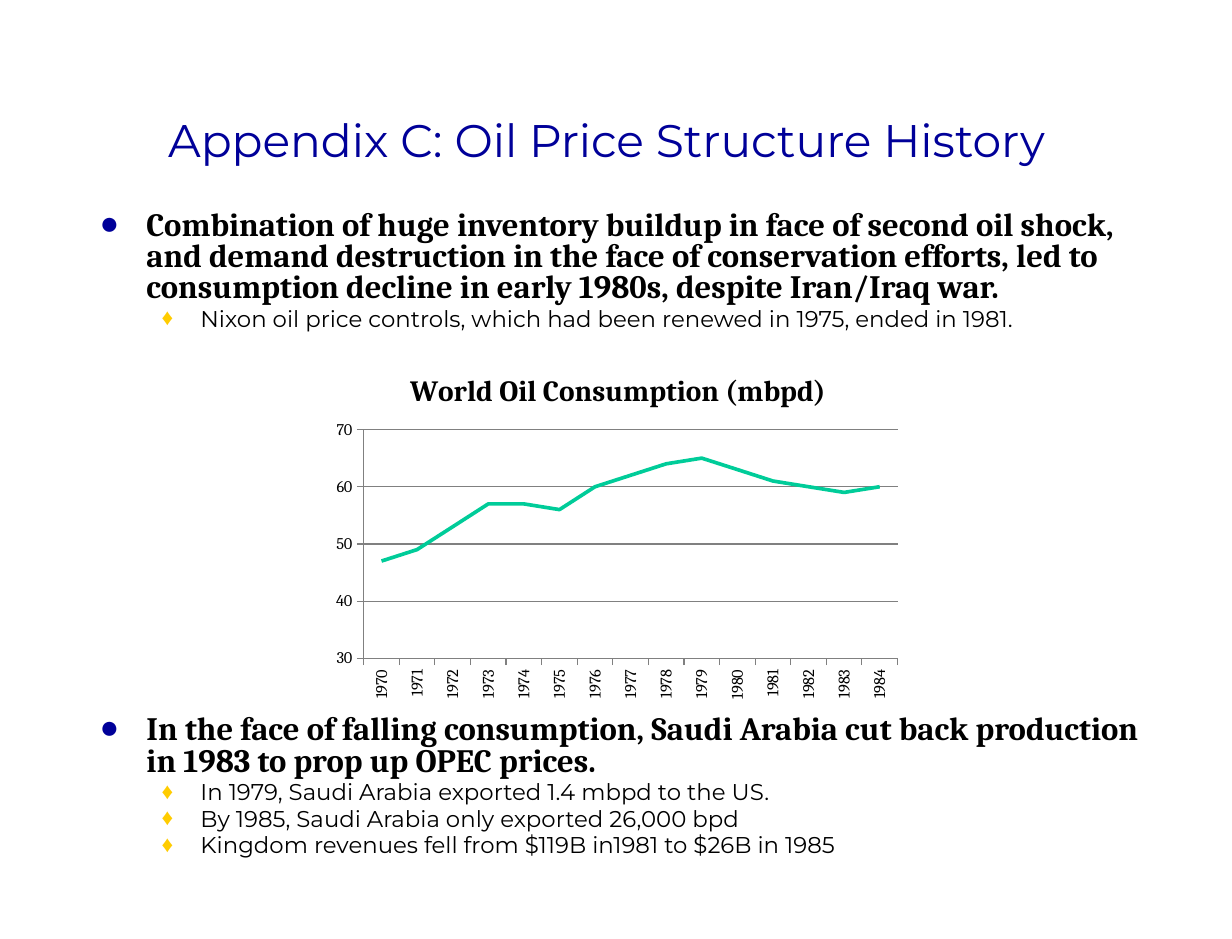
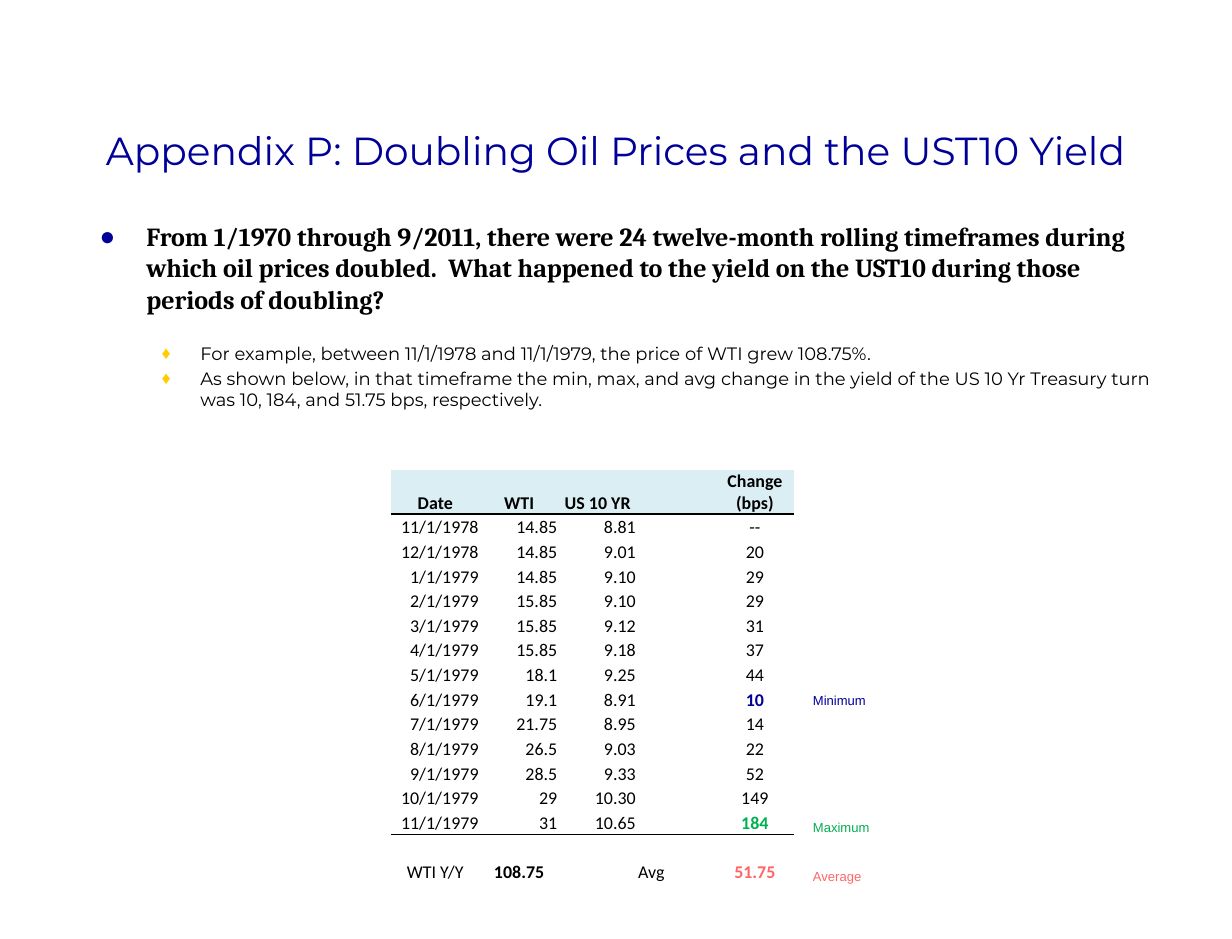
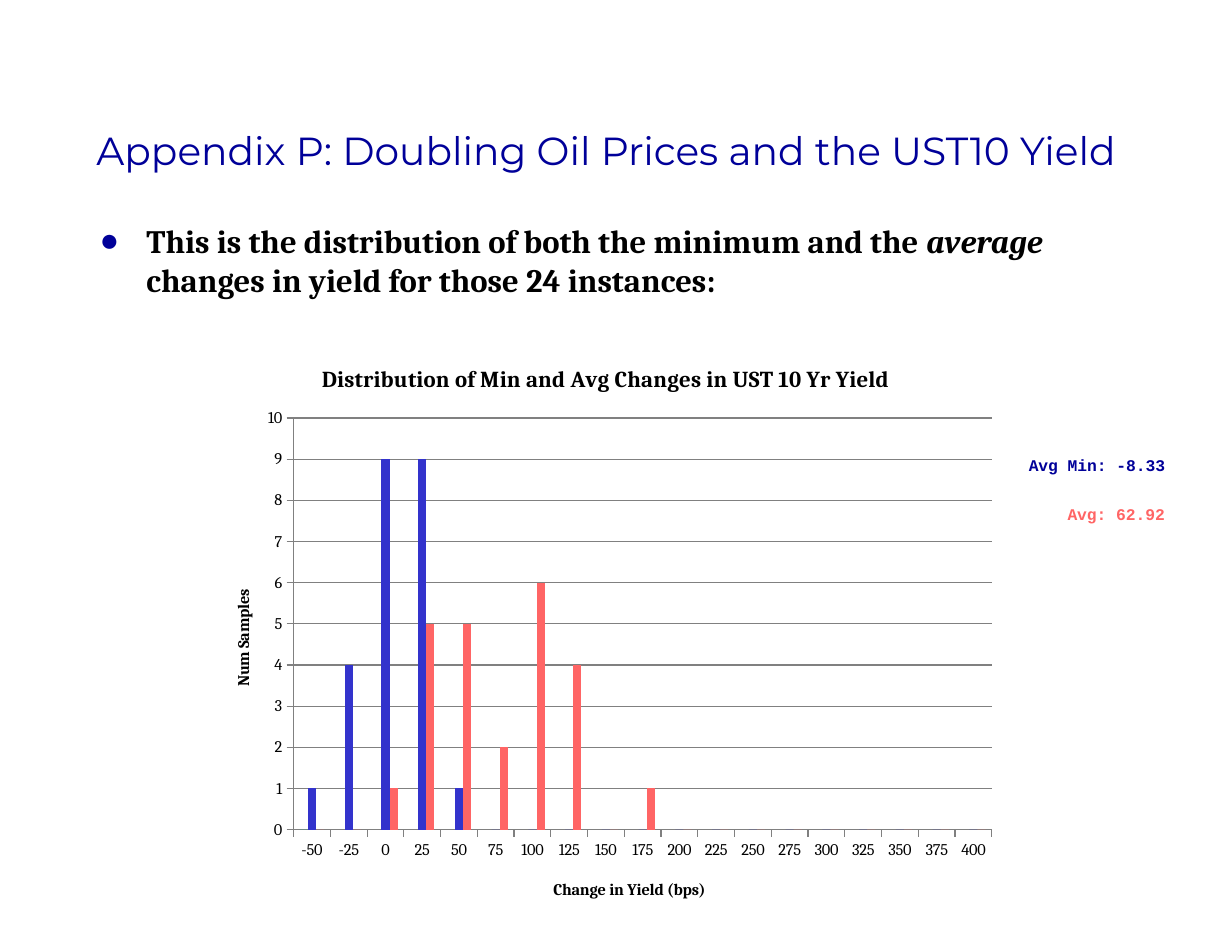
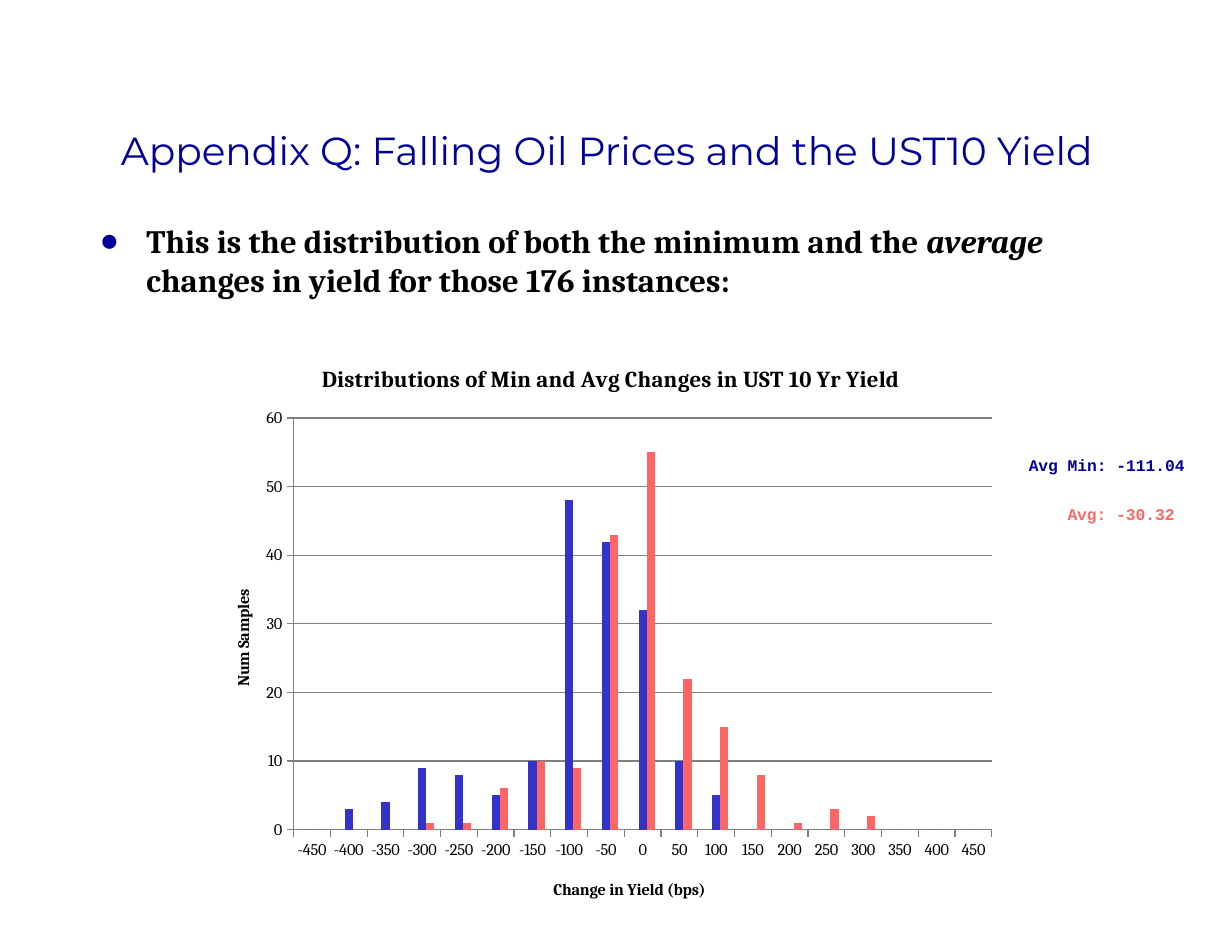
from lxml import etree
from pptx import Presentation
from pptx.chart.data import CategoryChartData
from pptx.dml.color import RGBColor
from pptx.enum.chart import XL_CHART_TYPE, XL_TICK_MARK
from pptx.enum.shapes import MSO_SHAPE
from pptx.enum.text import MSO_ANCHOR, PP_ALIGN
from pptx.oxml.ns import qn
from pptx.util import Inches, Pt

LINE = XL_CHART_TYPE.LINE
COLUMN = XL_CHART_TYPE.COLUMN_CLUSTERED
TICK_OUTSIDE = XL_TICK_MARK.OUTSIDE
TICK_NONE = XL_TICK_MARK.NONE
RECTANGLE = MSO_SHAPE.RECTANGLE
MIDDLE, BOTTOM = MSO_ANCHOR.MIDDLE, MSO_ANCHOR.BOTTOM
LEFT, CENTER, RIGHT = PP_ALIGN.LEFT, PP_ALIGN.CENTER, PP_ALIGN.RIGHT

NAVY = "000099"
BLUE = "3333CC"
TEAL = "00CC99"
CORAL = "FF6565"
GREEN = "00B050"
GOLD = "FFCC00"
PALE_BLUE = "DBEEF3"
GRAY = "808080"
BLACK = "000000"
WHITE = "FFFFFF"

HEADING_FONT = "Montserrat"
BODY_FONT = "Cambria"
TABLE_FONT = "Calibri"
LABEL_FONT = "Arial"
BULLET_FONT = "Arial"
STATISTIC_FONT = "Courier New"
NO_TABLE_STYLE = "{2D5ABB26-0587-4C30-8999-92F81FD0307C}"

BULLET_LEVELS = [
    {"character": "●", "color": NAVY, "left": 0.4, "hanging": 0.4, "font": BODY_FONT, "bold": True},
    {"character": "♦", "color": GOLD, "left": 0.86, "hanging": 0.33, "font": HEADING_FONT, "bold": False},
]

YIELD_ROWS = [
    ("Date", "WTI", "US 10 YR", "", "Change (bps)"),
    ("11/1/1978", "14.85", "8.81", "", "--"),
    ("12/1/1978", "14.85", "9.01", "", "20"),
    ("1/1/1979", "14.85", "9.10", "", "29"),
    ("2/1/1979", "15.85", "9.10", "", "29"),
    ("3/1/1979", "15.85", "9.12", "", "31"),
    ("4/1/1979", "15.85", "9.18", "", "37"),
    ("5/1/1979", "18.1", "9.25", "", "44"),
    ("6/1/1979", "19.1", "8.91", "", "10"),
    ("7/1/1979", "21.75", "8.95", "", "14"),
    ("8/1/1979", "26.5", "9.03", "", "22"),
    ("9/1/1979", "28.5", "9.33", "", "52"),
    ("10/1/1979", "29", "10.30", "", "149"),
    ("11/1/1979", "31", "10.65", "", "184"),
    ("", "", "", "", ""),
    ("WTI Y/Y", "108.75", "", "Avg", "51.75"),
]
SUMMARY_ROW = len(YIELD_ROWS) - 1
LAST_DATE_ROW = SUMMARY_ROW - 2
HIGHLIGHTS = {(8, 4): NAVY, (LAST_DATE_ROW, 4): GREEN, (SUMMARY_ROW, 1): BLACK, (SUMMARY_ROW, 4): CORAL}
CELL_EDGES = ("a:lnL", "a:lnR", "a:lnT", "a:lnB")
RULED_EDGES = {0: "a:lnB", 1: "a:lnT", LAST_DATE_ROW: "a:lnB", LAST_DATE_ROW + 1: "a:lnT"}


def rgb(color):
    return RGBColor.from_string(color)


def set_font(font, name, size, color=BLACK, bold=False):
    font.name = name
    font.size = Pt(size)
    font.bold = bold
    font.color.rgb = rgb(color)


def set_indent(paragraph, left, hanging=0):
    properties = paragraph._p.get_or_add_pPr()
    properties.set("marL", str(Inches(left)))
    properties.set("indent", str(-Inches(hanging)))
    return properties


def add_title(slide, text, left, top, width, size):
    shape = slide.shapes.add_shape(RECTANGLE, Inches(left), Inches(top), Inches(width), Inches(1.25))
    shape.shadow.inherit = False
    shape.fill.solid()
    shape.fill.fore_color.rgb = rgb(WHITE)
    shape.line.fill.background()
    shape.text_frame.word_wrap = True
    shape.text_frame.vertical_anchor = MIDDLE
    paragraph = shape.text_frame.paragraphs[0]
    paragraph.text = text
    paragraph.alignment = CENTER
    paragraph.line_spacing = 0.95
    set_font(paragraph.font, HEADING_FONT, size, NAVY)


def add_text_box(slide, left, top, width, height, wrap=True):
    box = slide.shapes.add_textbox(Inches(left), Inches(top), Inches(width), Inches(height))
    box.text_frame.word_wrap = wrap
    return box.text_frame


def add_bullets(slide, position, bullets, sizes, line_spacing=1.0, first_detail_gap=None):
    frame = add_text_box(slide, *position)
    for index, (level, text) in enumerate(bullets):
        style = BULLET_LEVELS[level]
        size = sizes[level]
        paragraph = frame.add_paragraph() if index else frame.paragraphs[0]
        paragraph.level = level
        paragraph.line_spacing = line_spacing
        if index:
            gap = first_detail_gap if index == 1 else None
            paragraph.space_before = Pt(gap or size * 0.2)
        properties = set_indent(paragraph, style["left"], style["hanging"])
        bullet_color = etree.SubElement(properties, qn("a:buClr"))
        etree.SubElement(bullet_color, qn("a:srgbClr"), val=style["color"])
        etree.SubElement(properties, qn("a:buFont"), typeface=BULLET_FONT)
        etree.SubElement(properties, qn("a:buChar"), char=style["character"])
        for part, words in enumerate(text.split("*")):
            run = paragraph.add_run()
            run.text = words
            if part % 2:
                run.font.italic = True
        set_font(paragraph.font, style["font"], size, BLACK, style["bold"])


def add_label(slide, text, position, font, size, color, bold=False, wrap=True, indent=0):
    frame = add_text_box(slide, *position, wrap=wrap)
    paragraph = frame.paragraphs[0]
    paragraph.text = text
    if indent:
        set_indent(paragraph, indent)
    set_font(paragraph.font, font, size, color, bold)


def set_layout(parent, previous, **fractions):
    for old_layout in parent.findall(qn("c:layout")):
        parent.remove(old_layout)
    layout = etree.Element(qn("c:layout"))
    manual = etree.SubElement(layout, qn("c:manualLayout"))
    if "w" in fractions:
        etree.SubElement(manual, qn("c:layoutTarget"), val="inner")
    for axis in "xy":
        etree.SubElement(manual, qn(f"c:{axis}Mode"), val="edge")
    for name, value in fractions.items():
        etree.SubElement(manual, qn(f"c:{name}"), val=str(value))
    if previous is None:
        parent.insert(0, layout)
    else:
        previous.addnext(layout)


def set_chart_title(title, text, size, x, y):
    paragraph = title.text_frame.paragraphs[0]
    paragraph.text = text
    set_font(paragraph.font, BODY_FONT, size, BLACK, True)
    set_layout(title.element, title.element.find(qn("c:tx")), x=x, y=y)


def style_line(line, color, width):
    line.color.rgb = rgb(color)
    line.width = Pt(width)


def add_chart(slide, chart_type, position, categories, series, title, plot_area, scale):
    data = CategoryChartData()
    data.categories = categories
    for number, (values, color) in enumerate(series, 1):
        data.add_series(f"Series {number}", values)
    frame = slide.shapes.add_chart(chart_type, *map(Inches, position), data)
    chart = frame.chart
    set_font(chart.font, BODY_FONT, 10)
    chart.has_legend = False
    chart.has_title = True
    set_chart_title(chart.chart_title, *title)
    x, y, width, height = plot_area
    set_layout(chart.element.find(f".//{qn('c:plotArea')}"), None, x=x, y=y, w=width, h=height)
    for axis in (chart.category_axis, chart.value_axis):
        axis.major_tick_mark = TICK_OUTSIDE
        axis.minor_tick_mark = TICK_NONE
        style_line(axis.format.line, GRAY, 0.75)
    value_axis = chart.value_axis
    value_axis.minimum_scale, value_axis.maximum_scale, value_axis.major_unit = scale
    value_axis.has_major_gridlines = True
    style_line(value_axis.major_gridlines.format.line, GRAY, 0.75)
    chart.plots[0].vary_by_categories = False
    for plotted, (values, color) in zip(chart.plots[0].series, series):
        if chart_type == LINE:
            plotted.smooth = False
            style_line(plotted.format.line, color, 2.25)
        else:
            plotted.format.fill.solid()
            plotted.format.fill.fore_color.rgb = rgb(color)
    return chart


def add_consumption_chart(slide):
    consumption = [47, 49, 53, 57, 57, 56, 60, 62, 64, 65, 63, 61, 60, 59, 60]
    chart = add_chart(
        slide, LINE, (2.75, 3.03, 5, 3), [str(year) for year in range(1970, 1985)],
        [(consumption, TEAL)], ("World Oil Consumption (mbpd)", 18, 0.14, 0.03),
        (0.07, 0.21, 0.91, 0.65), (30, 70, 10))
    labels = chart.category_axis.tick_labels
    set_font(labels.font, BODY_FONT, 10)
    body = chart.category_axis._element.find(f"{qn('c:txPr')}/{qn('a:bodyPr')}")
    body.set("rot", "-5400000")
    body.set("vert", "horz")


def add_distribution_chart(slide, title, bins, minimums, averages, maximum, step):
    chart = add_chart(
        slide, COLUMN, (1.75, 2.92, 6.84, 4.94), [str(value) for value in bins],
        [([0], TEAL), (minimums, BLUE), (averages, CORAL)], (title, 14, 0.14, 0.03),
        (0.11, 0.13, 0.87, 0.71), (0, maximum, step))
    chart.plots[0].gap_width = 150
    chart.plots[0].overlap = 0
    set_chart_title(chart.category_axis.axis_title, "Change in Yield (bps)", 10, 0.43, 0.92)
    set_chart_title(chart.value_axis.axis_title, "Num Samples", 10, 0.03, 0.42)


def add_distribution_slide(slide, title, title_left, title_width, count, average_minimum, average, chart):
    add_title(slide, title, title_left, 0.67, title_width, 24)
    add_bullets(
        slide, (0.75, 1.83, 8.5, 4.83),
        [(0, "This is the distribution of both the minimum and the *average*"
             f" changes in yield for those {count} instances:")], (20,))
    add_distribution_chart(slide, *chart)
    add_label(slide, f"Avg Min: {average_minimum}", (8.67, 3.83, 1.83, 0.27),
              STATISTIC_FONT, 10, NAVY, bold=True)
    add_label(slide, f"Avg: {average}", (8.67, 4.25, 1.83, 0.27),
              STATISTIC_FONT, 10, CORAL, bold=True, indent=0.33)


def cell_alignment(row, column):
    if row == SUMMARY_ROW and column == 3:
        return LEFT
    if row in (0, SUMMARY_ROW) or column == 4:
        return CENTER
    return RIGHT


def set_cell_edges(cell, ruled_edge):
    properties = cell._tc.get_or_add_tcPr()
    for position, edge in enumerate(CELL_EDGES):
        line = etree.Element(qn(edge), w=str(Pt(1)))
        if edge == ruled_edge:
            fill = etree.SubElement(line, qn("a:solidFill"))
            etree.SubElement(fill, qn("a:srgbClr"), val=BLACK)
        else:
            etree.SubElement(line, qn("a:noFill"))
        properties.insert(position, line)


def add_yield_table(slide):
    frame = slide.shapes.add_table(
        len(YIELD_ROWS), 5, Inches(3.33), Inches(4), Inches(3.44), Inches(3.53))
    frame.element.find(f".//{qn('a:tableStyleId')}").text = NO_TABLE_STYLE
    table = frame.table
    table.first_row = False
    table.horz_banding = False
    for index, column in enumerate(table.columns):
        column.width = Inches(0.67 if index else 0.76)
    for row, texts in enumerate(YIELD_ROWS):
        table.rows[row].height = Inches(0.21 if row else 0.38)
        for column, text in enumerate(texts):
            cell = table.cell(row, column)
            cell.margin_left = cell.margin_right = cell.margin_top = Inches(0.01)
            cell.margin_bottom = 0
            cell.vertical_anchor = BOTTOM
            if row == 0:
                cell.fill.solid()
                cell.fill.fore_color.rgb = rgb(PALE_BLUE)
            else:
                cell.fill.background()
            set_cell_edges(cell, RULED_EDGES.get(row))
            paragraph = cell.text_frame.paragraphs[0]
            paragraph.text = text
            paragraph.alignment = cell_alignment(row, column)
            highlight = HIGHLIGHTS.get((row, column))
            set_font(paragraph.font, TABLE_FONT, 11, highlight or BLACK, row == 0 or highlight is not None)


def build_history_slide(slide):
    add_title(slide, "Appendix C: Oil Price Structure History", 0.92, 0.58, 8.5, 28)
    add_bullets(slide, (0.75, 1.75, 9.09, 1.25), [
        (0, "Combination of huge inventory buildup in face of second oil shock, and demand destruction "
            "in the face of conservation efforts, led to consumption decline in early 1980s, "
            "despite Iran/Iraq war."),
        (1, "Nixon oil price controls, which had been renewed in 1975, ended in 1981."),
    ], (20, 14), 0.8)
    add_consumption_chart(slide)
    add_bullets(slide, (0.75, 6.05, 9.09, 1.35), [
        (0, "In the face of falling consumption, Saudi Arabia cut back production in 1983 "
            "to prop up OPEC prices."),
        (1, "In 1979, Saudi Arabia exported 1.4 mbpd to the US."),
        (1, "By 1985, Saudi Arabia only exported 26,000 bpd"),
        (1, "Kingdom revenues fell from $119B in1981 to $26B in 1985"),
    ], (20, 14), 0.8)


def build_example_slide(slide, title):
    add_title(slide, title, 0.33, 0.67, 9.83, 24)
    add_bullets(slide, (0.75, 1.83, 9.33, 4.83), [
        (0, "From 1/1970 through 9/2011, there were 24 twelve-month rolling timeframes during which "
            "oil prices doubled.  What happened to the yield on the UST10 during those periods of doubling?"),
        (1, "For example, between 11/1/1978 and 11/1/1979, the price of WTI grew 108.75%."),
        (1, "As shown below, in that timeframe the min, max, and avg change in the yield of the "
            "US 10 Yr Treasury turn was 10, 184, and 51.75 bps, respectively."),
    ], (16, 11), first_detail_gap=17)
    add_yield_table(slide)
    for text, top, width, color in (("Minimum", 5.85, 0.66, NAVY),
                                    ("Maximum", 6.93, 0.69, GREEN),
                                    ("Average", 7.35, 0.62, CORAL)):
        add_label(slide, text, (6.83, top, width, 0.24), LABEL_FONT, 8, color, wrap=False)


def main():
    presentation = Presentation()
    presentation.slide_width = Inches(10.5)
    presentation.slide_height = Inches(8)
    blank = presentation.slide_layouts[6]
    history, example, doubling, falling = [presentation.slides.add_slide(blank) for _ in range(4)]
    doubling_title = "Appendix P: Doubling Oil Prices and the UST10 Yield"
    build_history_slide(history)
    build_example_slide(example, doubling_title)
    add_distribution_slide(
        doubling, doubling_title, 0.25, 9.83, 24, "-8.33", "62.92",
        ("Distribution of Min and Avg Changes in UST 10 Yr Yield", range(-50, 401, 25),
         [1, 4, 9, 9, 1] + [0] * 14,
         [0, 0, 1, 5, 5, 2, 6, 4, 0, 1] + [0] * 9, 10, 1))
    add_distribution_slide(
        falling, "Appendix Q: Falling Oil Prices and the UST10 Yield", 0.42, 9.5, 176, "-111.04", "-30.32",
        ("Distributions of Min and Avg Changes in UST 10 Yr Yield", range(-450, 451, 50),
         [0, 3, 4, 9, 8, 5, 10, 48, 42, 32, 10, 5] + [0] * 7,
         [0, 0, 0, 1, 1, 6, 10, 9, 43, 55, 22, 15, 8, 1, 3, 2, 0, 0, 0], 60, 10))
    presentation.save("out.pptx")


if __name__ == "__main__":
    main()
